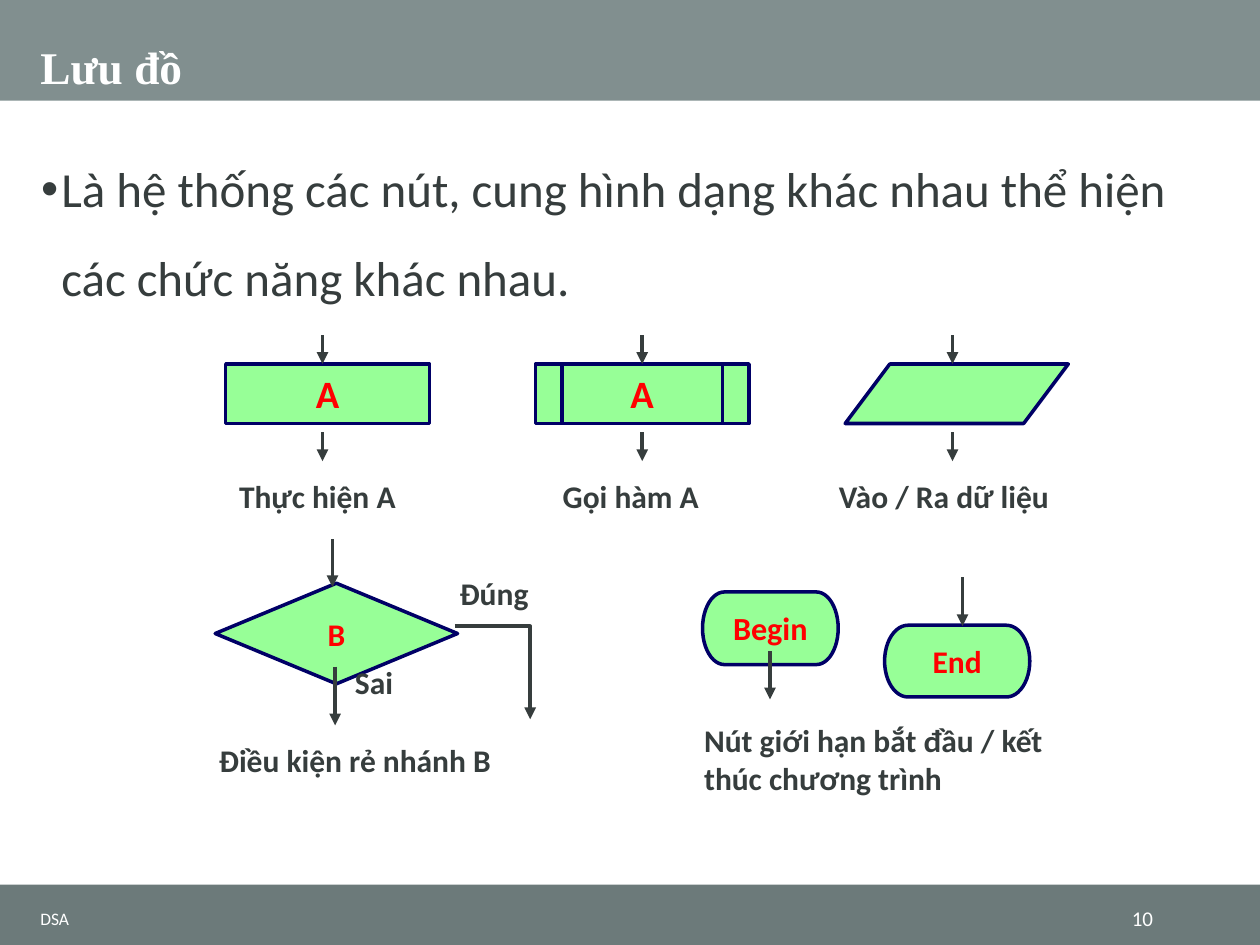
from lxml import etree
from pptx import Presentation
from pptx import util as u
from pptx.dml.color import RGBColor
from pptx.enum import shapes, text
from pptx.oxml.ns import qn

COLORS = {
    "header": "818F8F",
    "footer": "6C7A7A",
    "ink": "363D3D",
    "white": "FFFFFF",
    "node": "97FF97",
    "outline": "000066",
    "accent": "FF0000",
}


def color(name):
    return RGBColor.from_string(COLORS[name])


def apply_format(target, values):
    for name, value in values.items():
        setattr(target, name, value)


class FlowchartSlide:
    body_font = "Calibri"
    title_font = "Times New Roman"
    node_line = 2
    arrow_line = 2.25

    def __init__(self, presentation):
        self.slide = presentation.slides.add_slide(presentation.slide_layouts[6])
        self.shapes = self.slide.shapes

    def add_words(self, shape, words, size, ink, frame=None, layout=None, **font):
        apply_format(shape.text_frame,
                     {"word_wrap": True, "vertical_anchor": text.MSO_ANCHOR.TOP, **(frame or {})})
        paragraph = shape.text_frame.paragraphs[0]
        apply_format(paragraph, {"alignment": text.PP_ALIGN.LEFT, **(layout or {})})
        run = paragraph.add_run()
        run.text = words
        apply_format(run.font, {"name": self.body_font, "size": u.Pt(size), **font})
        run.font.color.rgb = color(ink)
        return paragraph

    def textbox(self, box, words, size, ink, **options):
        shape = self.shapes.add_textbox(*map(u.Pt, box))
        return self.add_words(shape, words, size, ink, **options)

    def bullet(self, box, words, size):
        paragraph = self.textbox(box, words, size, "ink", layout={"line_spacing": 1.5})
        properties = paragraph._p.get_or_add_pPr()
        properties.set("marL", str(u.Pt(12)))
        properties.set("indent", str(u.Pt(-11.5)))
        bullet_color = etree.SubElement(properties, qn("a:buClr"))
        etree.SubElement(bullet_color, qn("a:srgbClr"), val=COLORS["ink"])
        etree.SubElement(properties, qn("a:buFont"), typeface="Arial")
        etree.SubElement(properties, qn("a:buChar"), char="•")

    def label(self, box, words):
        self.textbox(box, words, 18, "ink", bold=True)

    def shape(self, kind, box, fill):
        shape = self.shapes.add_shape(kind, *map(u.Pt, box))
        shape.shadow.inherit = False
        shape.fill.solid()
        shape.fill.fore_color.rgb = color(fill)
        return shape

    def band(self, box, fill):
        self.shape(shapes.MSO_SHAPE.RECTANGLE, box, fill).line.fill.background()

    def node(self, kind, box, words="", size=18):
        shape = self.shape(kind, box, "node")
        shape.line.color.rgb = color("outline")
        shape.line.width = u.Pt(self.node_line)
        if words:
            self.add_words(shape, words, size, "accent", bold=True,
                           layout={"alignment": text.PP_ALIGN.CENTER})

    def arrowhead(self, shape):
        shape.line.color.rgb = color("ink")
        shape.line.width = u.Pt(self.arrow_line)
        etree.SubElement(shape.line._get_or_add_ln(), qn("a:tailEnd"), type="triangle")

    def arrow(self, x, top, bottom):
        connector = self.shapes.add_connector(
            shapes.MSO_CONNECTOR.STRAIGHT, *map(u.Pt, (x, top, x, bottom)))
        self.arrowhead(connector)
        etree.SubElement(connector._element.spPr, qn("a:effectLst"))

    def branch(self, *points):
        start, *rest = [(u.Pt(x), u.Pt(y)) for x, y in points]
        builder = self.shapes.build_freeform(*start)
        builder.add_line_segments(rest, close=False)
        shape = builder.convert_to_shape()
        shape.shadow.inherit = False
        shape.fill.background()
        self.arrowhead(shape)


def main():
    presentation = Presentation()
    apply_format(presentation, {"slide_width": u.Pt(720), "slide_height": u.Pt(540)})
    page = FlowchartSlide(presentation)
    kinds = shapes.MSO_SHAPE

    page.band((0, 0, 720, 57.5), "header")
    page.band((0, 505.5, 720, 34.5), "footer")
    page.textbox((16, 0, 689, 57.5), "Lưu đồ", 25.9, "white",
                 frame={"vertical_anchor": text.MSO_ANCHOR.BOTTOM},
                 layout={"line_spacing": 0.9}, name=page.title_font, bold=True)
    page.bullet((16, 70.5, 689, 435.5),
                "Là hệ thống các nút, cung hình dạng khác nhau thể hiện các chức năng khác nhau.", 28)
    middle = {"vertical_anchor": text.MSO_ANCHOR.MIDDLE}
    page.textbox((16, 515.5, 500.5, 18.5), "DSA", 10, "white", frame=middle)
    page.textbox((610, 515.5, 56, 18.5), "10", 12, "white", frame=middle,
                 layout={"alignment": text.PP_ALIGN.RIGHT})

    steps = [
        (kinds.RECTANGLE, 129, 116.5, "A", 184.3, 129.5, 120, "Thực hiện A"),
        (kinds.FLOWCHART_PREDEFINED_PROCESS, 306, 122, "A", 367, 314.5, 105, "Gọi hàm A"),
        (kinds.FLOWCHART_DATA, 483, 127.5, "", 544.3, 472.3, 152, "Vào / Ra dữ liệu"),
    ]
    for kind, left, width, words, arrow_x, label_left, label_width, caption in steps:
        page.node(kind, (left, 208, width, 34), words, 22.1)
        page.label((label_left, 269.3, label_width, 29), caption)
        for top in (191.5, 247):
            page.arrow(arrow_x, top, top + 16.5)

    page.node(kinds.FLOWCHART_DECISION, (123, 333.3, 138.5, 57.5), "B")
    page.node(kinds.FLOWCHART_TERMINATOR, (401.5, 338.3, 77.5, 41.5), "Begin", 18.4)
    page.node(kinds.FLOWCHART_TERMINATOR, (505.5, 357.3, 83, 41), "End")

    for x, top, bottom in [(190, 308.2, 335.5), (191.5, 381, 414.5),
                           (440, 372.2, 399.6), (550, 330, 357.8)]:
        page.arrow(x, top, bottom)
    page.branch((260, 358), (303, 358), (303, 411))

    for box, words in [
        ((118, 420, 195, 29), "Điều kiện rẻ nhánh B"),
        ((255.6, 324.7, 61, 29), "Đúng"),
        ((195.8, 375.3, 42, 29), "Sai"),
        ((395.3, 408.3, 210, 51), "Nút giới hạn bắt đầu / kết thúc chương trình"),
    ]:
        page.label(box, words)

    presentation.save("out.pptx")


if __name__ == "__main__":
    main()
